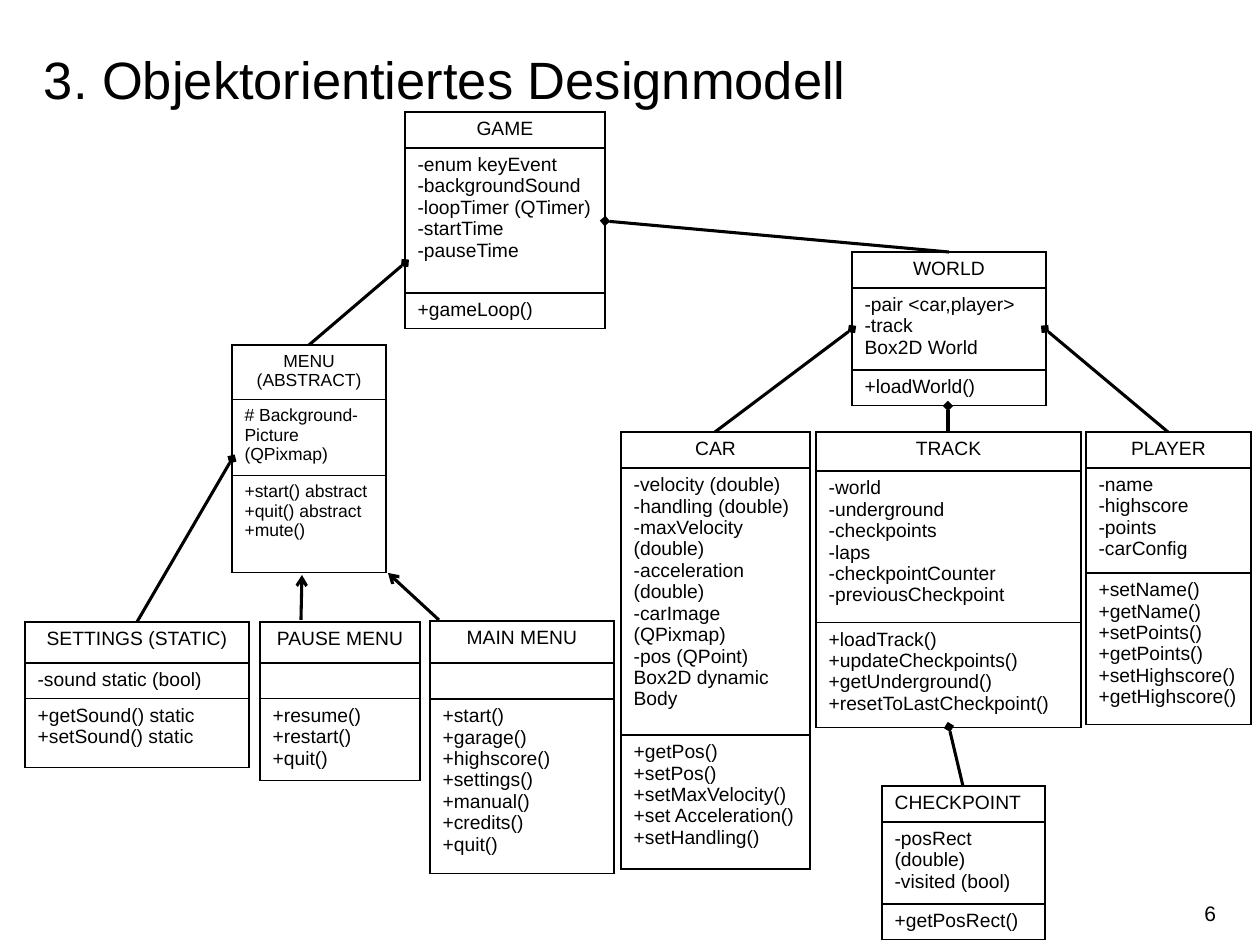
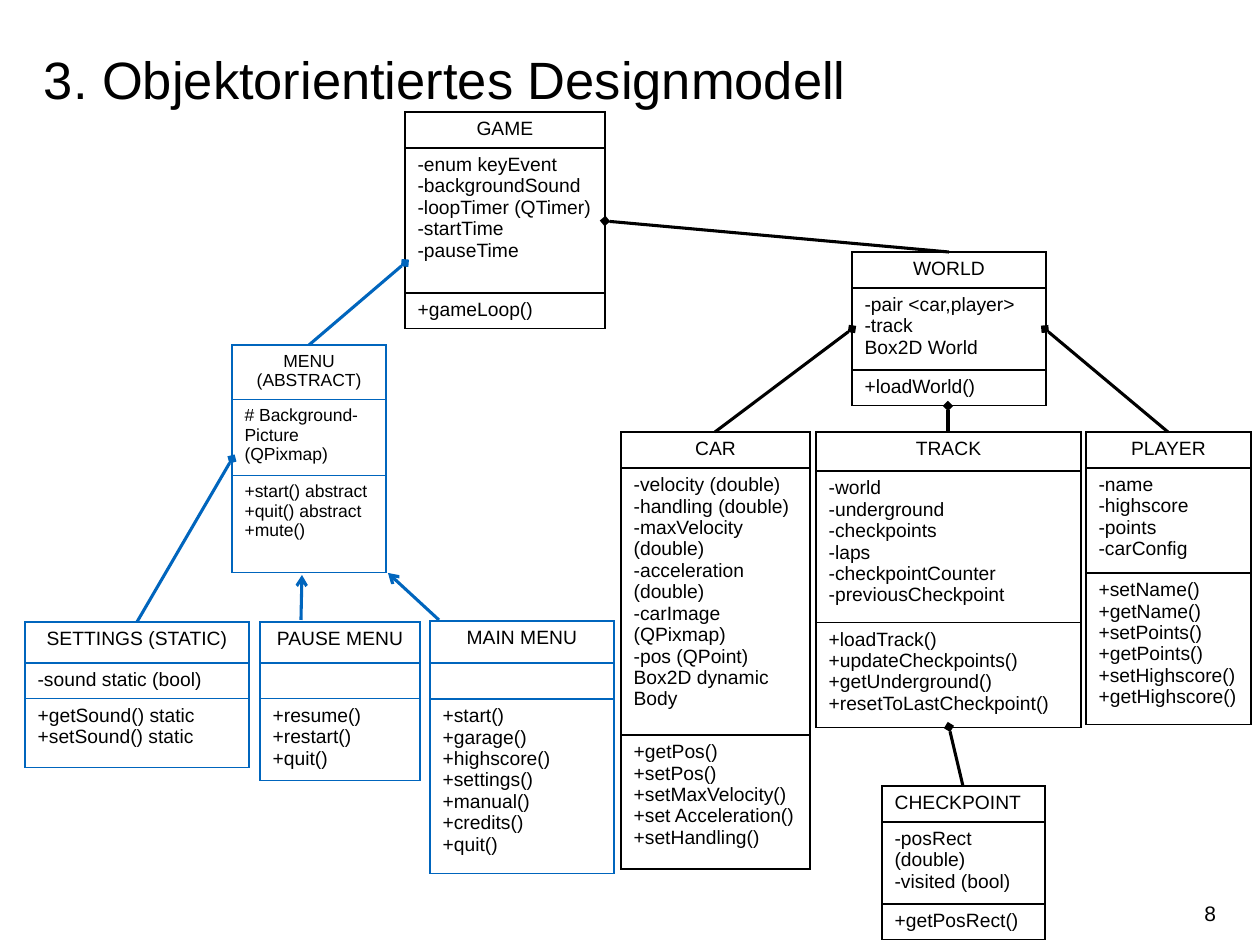
from dataclasses import dataclass
from typing import Optional

from lxml.etree import SubElement
from pptx import Presentation
from pptx.dml.color import RGBColor
from pptx.enum.shapes import MSO_CONNECTOR
from pptx.enum.text import MSO_ANCHOR, PP_ALIGN
from pptx.oxml.ns import qn
from pptx.util import Emu, Pt

# Shared look
PX_PER_INCH = 126
FONT = "Arial"
BLACK = "000000"
BLUE = "0065BD"
BORDER_PT = 1
LINK_PT = 1.75
TITLE = "3. Objektorientiertes Designmodell"


@dataclass(frozen=True)
class UmlClass:
    name: str
    left: int
    top: int
    width: int
    row_heights: tuple[int, int, int]
    attributes: tuple[str, ...]
    methods: tuple[str, ...]
    size: int = 11
    name_align: PP_ALIGN = PP_ALIGN.CENTER
    in_menu_part: bool = False

    @property
    def top_center(self) -> tuple[int, int]:
        return self.left + self.width // 2, self.top


@dataclass(frozen=True)
class Relation:
    child: UmlClass
    tip: tuple[int, int]
    head: str = "diamond"
    start: Optional[tuple[int, int]] = None


# Classes of the game
GAME = UmlClass(
    "GAME", 405, 112, 200, (35, 145, 36),
    ("-enum keyEvent", "-backgroundSound", "-loopTimer (QTimer)",
     "-startTime", "-pauseTime"),
    ("+gameLoop()",))
MENU = UmlClass(
    "MENU (ABSTRACT)", 232, 345, 154, (54, 73, 97),
    ("# Background-Picture (QPixmap)",),
    ("+start() abstract", "+quit() abstract", "+mute()"),
    size=10, in_menu_part=True)
PAUSE_MENU = UmlClass(
    "PAUSE MENU", 260, 622, 160, (41, 35, 76),
    (),
    ("+resume()", "+restart()", "+quit()"),
    in_menu_part=True)
MAIN_MENU = UmlClass(
    "MAIN MENU", 430, 621, 184, (42, 36, 169),
    (),
    ("+start()", "+garage()", "+highscore()", "+settings()", "+manual()",
     "+credits()", "+quit()"),
    in_menu_part=True)
SETTINGS = UmlClass(
    "SETTINGS (STATIC)", 25, 622, 224, (41, 35, 69),
    ("-sound static (bool)",),
    ("+getSound() static", "+setSound() static"),
    in_menu_part=True)
CAR = UmlClass(
    "CAR", 621, 432, 189, (36, 248, 134),
    ("-velocity (double)", "-handling (double)", "-maxVelocity (double)",
     "-acceleration (double)", "-carImage (QPixmap)", "-pos (QPoint)",
     "Box2D dynamic Body"),
    ("+getPos()", "+setPos()", "+setMaxVelocity()", "+set Acceleration()",
     "+setHandling()"))
TRACK = UmlClass(
    "TRACK", 816, 432, 265, (39, 143, 98),
    ("-world", "-underground", "-checkpoints", "-laps",
     "-checkpointCounter", "-previousCheckpoint"),
    ("+loadTrack()", "+updateCheckpoints()", "+getUnderground()",
     "+resetToLastCheckpoint()"))
CHECKPOINT = UmlClass(
    "CHECKPOINT", 882, 786, 163, (34, 77, 35),
    ("-posRect (double)", "-visited (bool)"),
    ("+getPosRect()",),
    name_align=PP_ALIGN.LEFT)
PLAYER = UmlClass(
    "PLAYER", 1086, 432, 165, (34, 102, 146),
    ("-name", "-highscore", "-points", "-carConfig"),
    ("+setName()", "+getName()", "+setPoints()", "+getPoints()",
     "+setHighscore()", "+getHighscore()"))
WORLD = UmlClass(
    "WORLD", 852, 252, 194, (35, 76, 35),
    ("-pair <car,player>", "-track", "Box2D World"),
    ("+loadWorld()",))

CLASSES = (GAME, MENU, PAUSE_MENU, MAIN_MENU, SETTINGS, CAR, TRACK,
           CHECKPOINT, PLAYER, WORLD)

# Inheritance ends in an arrow, composition in a diamond
RELATIONS = (
    Relation(MAIN_MENU, (388, 573), "arrow", (439, 620)),
    Relation(PAUSE_MENU, (302, 575), "arrow", (301, 620)),
    Relation(TRACK, (948, 406)),
    Relation(CAR, (852, 329)),
    Relation(PLAYER, (1045, 329)),
    Relation(MENU, (405, 263)),
    Relation(SETTINGS, (232, 459)),
    Relation(CHECKPOINT, (949, 727)),
    Relation(WORLD, (605, 221)),
)


def px(length: int) -> Emu:
    return Emu(round(length * 914400 / PX_PER_INCH))


def color(hex_code: str) -> RGBColor:
    return RGBColor.from_string(hex_code)


def format_runs(paragraph, size: int) -> None:
    for run in paragraph.runs:
        run.font.name = FONT
        run.font.size = Pt(size)
        run.font.color.rgb = color(BLACK)


def add_label(slide, text: str, box: tuple[int, int, int, int], size: int):
    frame = slide.shapes.add_textbox(*map(px, box)).text_frame
    frame.word_wrap = True
    frame.margin_left = frame.margin_right = 0
    frame.margin_top = frame.margin_bottom = 0
    frame.text = text
    format_runs(frame.paragraphs[0], size)
    return frame


def set_borders(cell, line_color: str) -> None:
    properties = cell._tc.get_or_add_tcPr()
    for side in ("a:lnL", "a:lnR", "a:lnT", "a:lnB"):
        border = SubElement(properties, qn(side), w=str(Pt(BORDER_PT)))
        fill = SubElement(border, qn("a:solidFill"))
        SubElement(fill, qn("a:srgbClr"), val=line_color)


def draw_class(slide, uml: UmlClass, line_color: str) -> None:
    table = slide.shapes.add_table(
        3, 1, px(uml.left), px(uml.top), px(uml.width),
        px(sum(uml.row_heights))).table
    table.first_row = table.horz_banding = False
    sections = ((uml.name,), uml.attributes, uml.methods)
    for index, (lines, height) in enumerate(zip(sections, uml.row_heights)):
        table.rows[index].height = px(height)
        cell = table.cell(index, 0)
        set_borders(cell, line_color)
        cell.fill.background()
        cell.text_frame.text = "\n".join(lines)
        for paragraph in cell.text_frame.paragraphs:
            paragraph.alignment = uml.name_align if index == 0 else PP_ALIGN.LEFT
            format_runs(paragraph, uml.size)
            if not lines:  # keeps the empty row at text height
                SubElement(paragraph._p, qn("a:endParaRPr"), sz=str(uml.size * 100))


def draw_relation(slide, relation: Relation, line_color: str) -> None:
    start = relation.start or relation.child.top_center
    connector = slide.shapes.add_connector(
        MSO_CONNECTOR.STRAIGHT, *map(px, start + relation.tip))
    connector.line.color.rgb = color(line_color)
    connector.line.width = Pt(LINK_PT)
    properties = connector._element.spPr
    SubElement(properties.find(qn("a:ln")), qn("a:tailEnd"), type=relation.head)
    SubElement(properties, qn("a:effectLst"))


def add_model_slide(deck, number: int, menu_color: str) -> None:
    slide = deck.slides.add_slide(deck.slide_layouts[6])

    # Page number and title
    page = add_label(slide, str(number), (934, 888, 282, 50), 12)
    page.vertical_anchor = MSO_ANCHOR.MIDDLE
    page.paragraphs[0].alignment = PP_ALIGN.RIGHT
    title = add_label(slide, TITLE, (44, 54, 1173, 57), 30)
    title.paragraphs[0].line_spacing = Pt(32)

    # Class diagram
    def part_color(uml: UmlClass) -> str:
        return menu_color if uml.in_menu_part else BLACK

    for uml in CLASSES:
        draw_class(slide, uml, part_color(uml))
    for relation in RELATIONS:
        draw_relation(slide, relation, part_color(relation.child))


def main() -> None:
    deck = Presentation()
    deck.slide_width, deck.slide_height = px(1260), px(945)
    add_model_slide(deck, 6, BLACK)
    add_model_slide(deck, 8, BLUE)
    deck.save("out.pptx")


if __name__ == "__main__":
    main()
